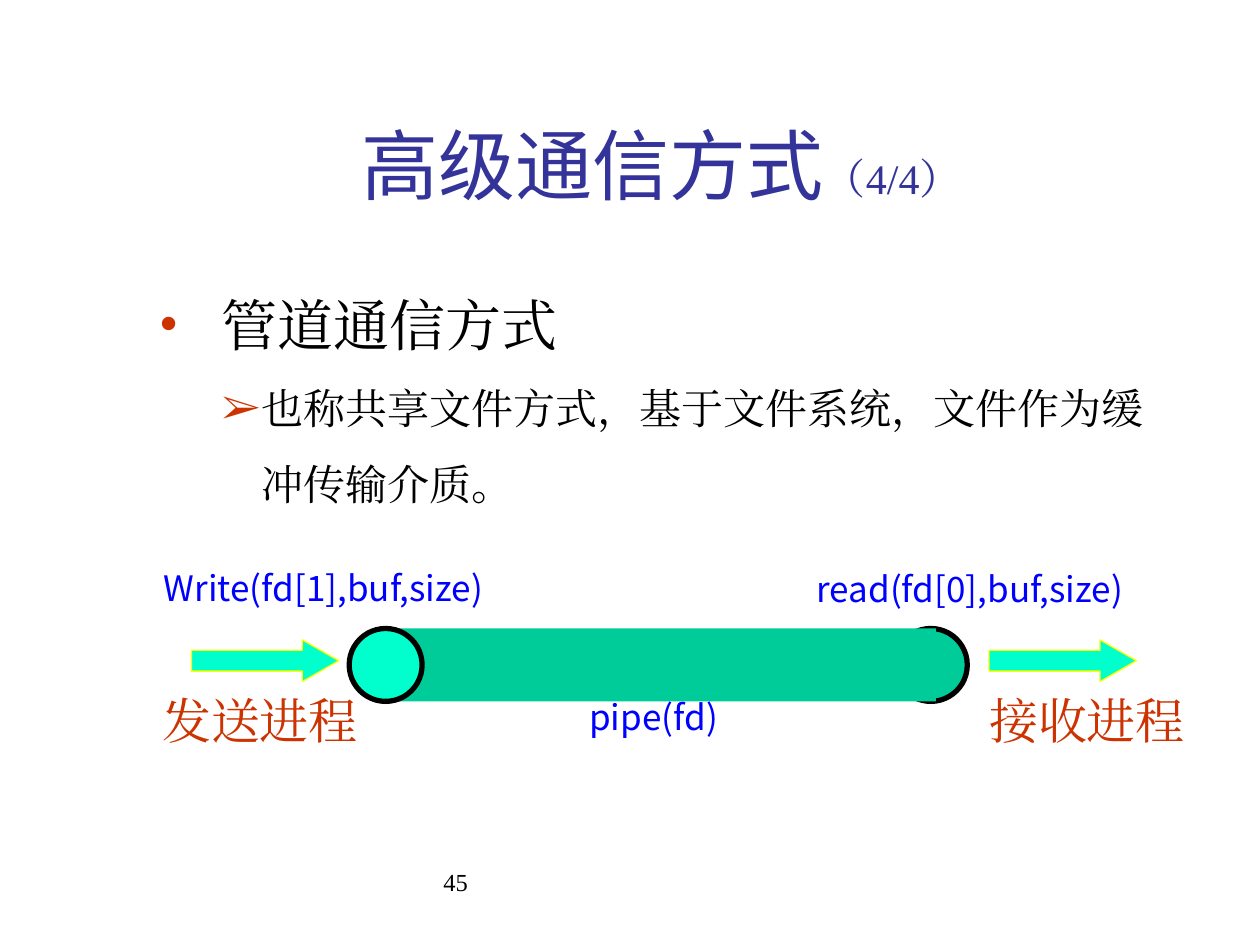
from lxml import etree
from pptx import Presentation
from pptx import util as u
from pptx.dml.color import RGBColor
from pptx.enum import shapes, text
from pptx.oxml.ns import qn

SERIF = "Times New Roman"
SANS = "Noto Sans CJK SC"
BLACK, RUST, BLUE, NAVY = "000000", "CC3300", "0000FF", "333399"
GREEN, AQUA, YELLOW = "00CC99", "00FFCC", "FFFF00"


def colour(value):
    return RGBColor.from_string(value)


def place(shape, left, top, width, height):
    shape.left, shape.top = u.Cm(left), u.Cm(top)
    shape.width, shape.height = u.Cm(width), u.Cm(height)


def add_run(paragraph, words, size, font, ink):
    run = paragraph.add_run()
    run.text = words
    run.font.size = u.Pt(size)
    run.font.name = font
    run.font.color.rgb = colour(ink)
    # The Chinese characters use the same face
    east_asian = etree.SubElement(run.font._element, qn("a:ea"))
    east_asian.set("typeface", font)


def add_bullet(paragraph, character, ink, margin, indent):
    properties = paragraph._p.get_or_add_pPr()
    properties.set("marL", str(u.Cm(margin)))
    properties.set("indent", str(u.Cm(indent)))
    bullet_colour = etree.SubElement(properties, qn("a:buClr"))
    etree.SubElement(bullet_colour, qn("a:srgbClr")).set("val", ink)
    etree.SubElement(properties, qn("a:buFont")).set("typeface", SERIF)
    etree.SubElement(properties, qn("a:buChar")).set("char", character)


def add_label(slide, words, box, size, font, ink,
              anchor=text.MSO_ANCHOR.TOP, wrap=True):
    shape = slide.shapes.add_textbox(*[u.Cm(value) for value in box])
    frame = shape.text_frame
    frame.word_wrap = wrap
    frame.vertical_anchor = anchor
    add_run(frame.paragraphs[0], words, size, font, ink)


def add_figure(slide, kind, box, fill, line=None, weight=0):
    shape = slide.shapes.add_shape(kind, *[u.Cm(value) for value in box])
    shape.shadow.inherit = False
    shape.fill.solid()
    shape.fill.fore_color.rgb = colour(fill)
    if line:
        shape.line.color.rgb = colour(line)
        shape.line.width = u.Pt(weight)
    else:
        shape.line.fill.background()
    return shape


def fill_title(title):
    place(title, 2.54, 1.7, 21.59, 3.18)
    frame = title.text_frame
    frame.auto_size = text.MSO_AUTO_SIZE.NONE
    frame.vertical_anchor = text.MSO_ANCHOR.MIDDLE
    paragraph = frame.paragraphs[0]
    paragraph.alignment = text.PP_ALIGN.CENTER
    add_run(paragraph, "高级通信方式", 44, SANS, NAVY)
    add_run(paragraph, "（4/4）", 24, SERIF, NAVY)


def fill_body(body):
    place(body, 2.95, 5.05, 20.96, 12.12)
    frame = body.text_frame
    frame.auto_size = text.MSO_AUTO_SIZE.NONE
    items = [
        (" 管道通信方式", 32, "•", 0.97, -0.97),
        ("也称共享文件方式，基于文件系统，文件作为缓冲传输介质。", 24, "➢", 2.06, -0.79),
    ]
    for level, (words, size, character, margin, indent) in enumerate(items):
        paragraph = frame.add_paragraph() if level else frame.paragraphs[0]
        paragraph.level = level
        paragraph.line_spacing = 1.5
        paragraph.space_before = u.Pt(0)
        add_bullet(paragraph, character, RUST, margin, indent)
        add_run(paragraph, words, size, SERIF, BLACK)


def draw_pipe(slide):
    top, diameter = 12.67, 1.47
    oval = shapes.MSO_SHAPE.OVAL
    # Far end, body, then near end on top
    add_figure(slide, oval, (18.03, top, diameter, diameter), GREEN, BLACK, 3)
    add_figure(slide, shapes.MSO_SHAPE.RECTANGLE, (7.87, top, 11, diameter), GREEN)
    add_figure(slide, oval, (7.04, top, diameter, diameter), AQUA, BLACK, 3)


def draw_processes(slide):
    for words, label_left, arrow_left in (("发送进程", 3.02, 3.86),
                                          ("接收进程", 19.69, 19.94)):
        add_label(slide, words, (label_left, 13.79, 4.45, 1.45), 28, SERIF, RUST,
                  wrap=False)
        arrow = add_figure(slide, shapes.MSO_SHAPE.RIGHT_ARROW,
                           (arrow_left, 12.9, 2.97, 0.84), AQUA, YELLOW, 0.75)
        arrow.adjustments[0] = 0.5
        arrow.adjustments[1] = 0.875


def main():
    presentation = Presentation()
    presentation.slide_width, presentation.slide_height = u.Cm(25.4), u.Cm(19.05)
    slide = presentation.slides.add_slide(presentation.slide_layouts[1])

    # Title, list and page number
    fill_title(slide.shapes.title)
    fill_body(slide.placeholders[1])
    add_label(slide, "45", (8.69, 17.35, 8.05, 1.27), 14, SERIF, BLACK)

    # Pipe between the two processes
    draw_pipe(slide)
    draw_processes(slide)

    # System calls
    for words, box in (("pipe(fd)", (11.63, 13.87, 4.27, 1.12)),
                       ("Write(fd[1],buf,size)", (3.05, 10.44, 8.2, 1.96)),
                       ("read(fd[0],buf,size)", (16.21, 10.46, 8.2, 1.96))):
        add_label(slide, words, box, 20, SANS, BLUE, text.MSO_ANCHOR.BOTTOM)

    presentation.save("out.pptx")


if __name__ == "__main__":
    main()
